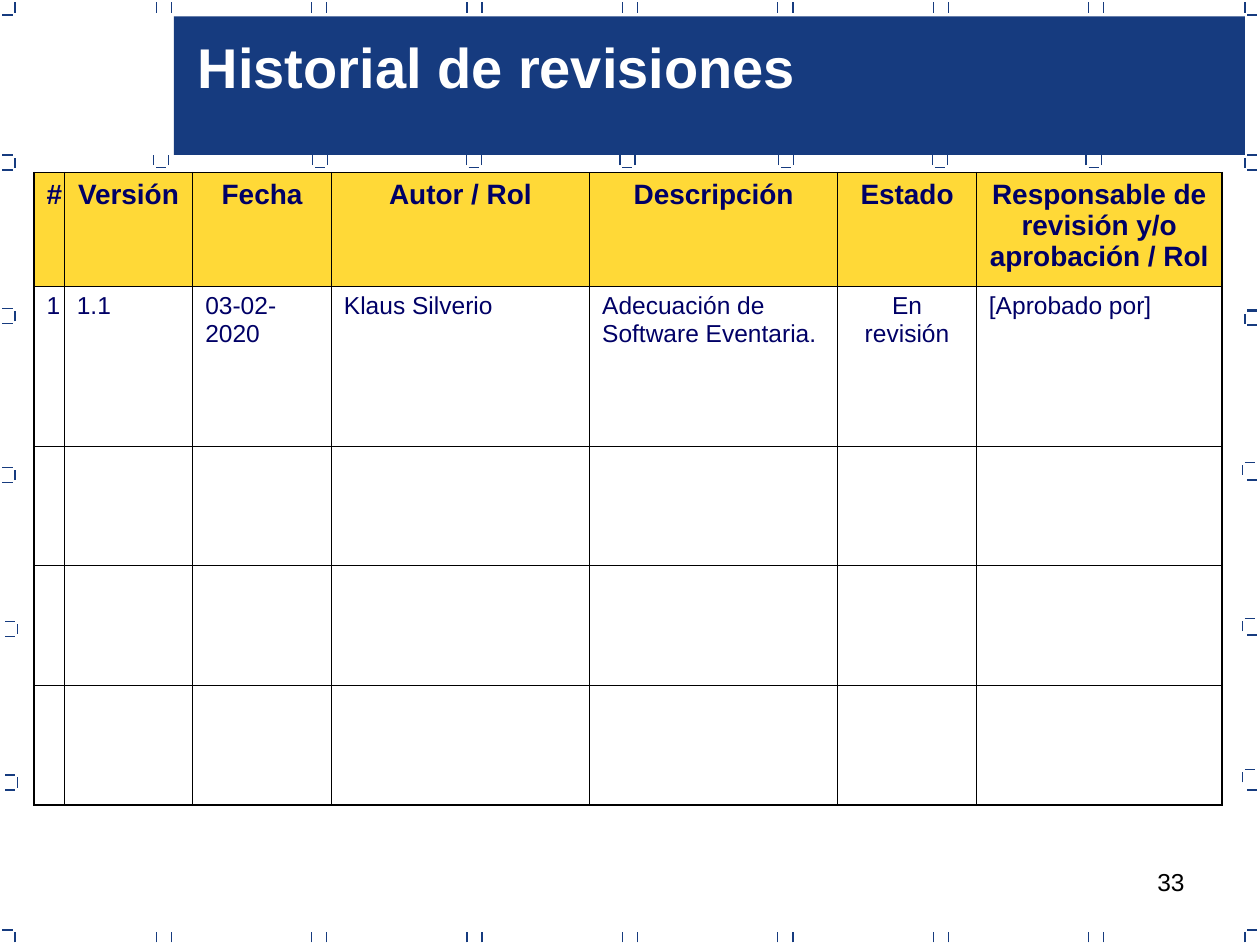
from dataclasses import dataclass

from lxml import etree
from pptx import Presentation
from pptx.dml.color import RGBColor
from pptx.enum.shapes import MSO_CONNECTOR, MSO_SHAPE
from pptx.enum.text import MSO_ANCHOR, MSO_AUTO_SIZE, PP_ALIGN
from pptx.oxml.ns import qn
from pptx.util import Inches, Pt

LINE, RECT = MSO_CONNECTOR.STRAIGHT, MSO_SHAPE.RECTANGLE
TOP, GROW = MSO_ANCHOR.TOP, MSO_AUTO_SIZE.SHAPE_TO_FIT_TEXT
LEFT, CENTER, RIGHT = PP_ALIGN.LEFT, PP_ALIGN.CENTER, PP_ALIGN.RIGHT


@dataclass(frozen=True)
class Theme:
    font: str = "Arial"
    blue: str = "163B7F"
    yellow: str = "FFD937"
    navy: str = "000066"
    black: str = "000000"
    white: str = "FFFFFF"
    title: float = 32
    header: float = 16
    body: float = 14
    tick: float = 0.74
    grid: float = 0.45
    frame: float = 1.08


class Deck:
    def __init__(self, slide, theme):
        self.slide, self.theme = slide, theme

    def put_text(self, tf, text, size, color, bold=False, align=LEFT, before=0):
        p = tf.paragraphs[0]
        for name, value in {"alignment": align, "space_before": Pt(before)}.items():
            setattr(p, name, value)
        r = p.add_run()
        r.text = text
        fmt = {"name": self.theme.font, "size": Pt(size), "bold": bold}
        for name, value in fmt.items():
            setattr(r.font, name, value)
        r.font.color.rgb = RGBColor.from_string(color)

    def title(self, text, left, top, width, height):
        sp = self.slide.shapes.title
        box = {"left": left, "top": top, "width": width, "height": height}
        for name, value in box.items():
            setattr(sp, name, Inches(value))
        tf = sp.text_frame
        fmt = {"word_wrap": False, "auto_size": GROW, "vertical_anchor": TOP}
        for name, value in fmt.items():
            setattr(tf, name, value)
        self.put_text(tf, text, self.theme.title, self.theme.white, bold=True)

    def text(self, text, left, top, width, height, align):
        sp = self.slide.shapes.add_textbox(*map(Inches, (left, top, width, height)))
        sp.text_frame.word_wrap = True
        self.put_text(sp.text_frame, text, self.theme.body, self.theme.black, align=align)

    def band(self, left, top, width, height):
        sp = self.slide.shapes.add_shape(RECT, *map(Inches, (left, top, width, height)))
        sp.shadow.inherit = False
        sp.fill.solid()
        sp.fill.fore_color.rgb = RGBColor.from_string(self.theme.blue)
        sp.line.fill.background()

    def line(self, x1, y1, x2, y2):
        sp = self.slide.shapes.add_connector(LINE, *map(Inches, (x1, y1, x2, y2)))
        sp.line.color.rgb = RGBColor.from_string(self.theme.blue)
        sp.line.width = Pt(self.theme.tick)
        etree.SubElement(sp._element.spPr, qn("a:effectLst"))

    def across(self, x, y):
        self.line(x, y, x + TICK, y)

    def down(self, x, y):
        self.line(x, y + TICK, x, y)

    def border(self, cell, side, width):
        ln = etree.SubElement(cell._tc.get_or_add_tcPr(), qn(f"a:ln{side}"), w=str(Pt(width)))
        fill = etree.SubElement(ln, qn("a:solidFill"))
        etree.SubElement(fill, qn("a:srgbClr"), val=self.theme.black)

    def table(self, left, top, widths, heights, rows, centered):
        t = self.theme
        box = map(Inches, (left, top, sum(widths), sum(heights)))
        table = self.slide.shapes.add_table(len(heights), len(widths), *box).table
        table.first_row = table.horz_banding = False
        for column, width in zip(table.columns, widths):
            column.width = Inches(width)
        for row, height in zip(table.rows, heights):
            row.height = Inches(height)
        last_row, last_col = len(heights) - 1, len(widths) - 1
        for i in range(len(heights)):
            for j in range(len(widths)):
                cell = table.cell(i, j)
                outer = {"L": j == 0, "R": j == last_col, "T": i == 0, "B": i == last_row}
                for side, is_outer in outer.items():
                    self.border(cell, side, t.frame if is_outer else t.grid)
                head = i == 0
                if head:
                    cell.fill.solid()
                    cell.fill.fore_color.rgb = RGBColor.from_string(t.yellow)
                else:
                    cell.fill.background()
                if i < len(rows):
                    size = t.header if head else t.body
                    align = CENTER if head or j in centered else LEFT
                    self.put_text(cell.text_frame, rows[i][j], size, t.navy, head, align, size / 4)


TICK, GAP = 0.08, 0.02
SPAN = TICK + 2 * GAP

prs = Presentation()
prs.slide_width, prs.slide_height = Inches(10), Inches(7.5)
s = prs.slides.add_slide(prs.slide_layouts[5])
deck = Deck(s, Theme())

# Tick pairs along the top and bottom edges
for i in range(7):
    x = 1.36 + 7.4 / 6 * i
    for y in (0.02, 7.4):
        deck.down(x, y)
        deck.down(x - SPAN, y)

# Corner marks
for x_across, x_down in ((0.02, 0.12), (9.9, 9.88)):
    for y_across, y_down in ((0.12, 0.02), (7.38, 7.4)):
        deck.across(x_across, y_across)
        deck.down(x_down, y_down)

# Marks down the left edge
for x, y in ((0.02, 1.23), (0.02, 2.45), (0.02, 3.71), (0.04, 4.93), (0.04, 6.15)):
    deck.across(x, y)
    deck.across(x, y + SPAN)
    deck.down(x + TICK + GAP, y + GAP)

# Marks down the right edge
for x, y in ((9.88, 1.23), (9.88, 2.47), (9.86, 3.67), (9.86, 4.91), (9.86, 6.11)):
    deck.down(x, y + GAP)
    deck.across(x + GAP, y)
for y in (1.35, 2.46, 2.58, 3.81, 5.04, 6.27):
    deck.across(9.9, y)

# Header band and the marks below it
deck.band(1.38, 0.13, 8.5, 1.1)
for x in (1.22, 2.48, 3.7, 4.92, 6.18, 7.4, 8.62):
    deck.down(x, 1.23)
    deck.down(x + SPAN, 1.23)
    deck.across(x + GAP, 1.33)

# Title: raised above the band
deck.title("Historial de revisiones", 1.47, 0.21, 4.95, 0.64)
s.shapes._spTree.append(s.shapes.title._element)

# Revision table
deck.table(
    0.27, 1.37,
    widths=(0.24, 1.02, 1.1, 2.05, 1.97, 1.1, 1.95),
    heights=(0.9, 1.27, 0.95, 0.95, 0.95),
    rows=(
        ("#", "Versión", "Fecha", "Autor / Rol", "Descripción", "Estado",
         "Responsable de revisión y/o aprobación / Rol"),
        ("1", "1.1", "03-02-2020", "Klaus Silverio", "Adecuación de Software Eventaria.",
         "En revisión", "[Aprobado por]"),
    ),
    centered=(0, 5),
)

# Page number
deck.text("33", 7.17, 6.83, 2.33, 0.52, RIGHT)

prs.save("out.pptx")
